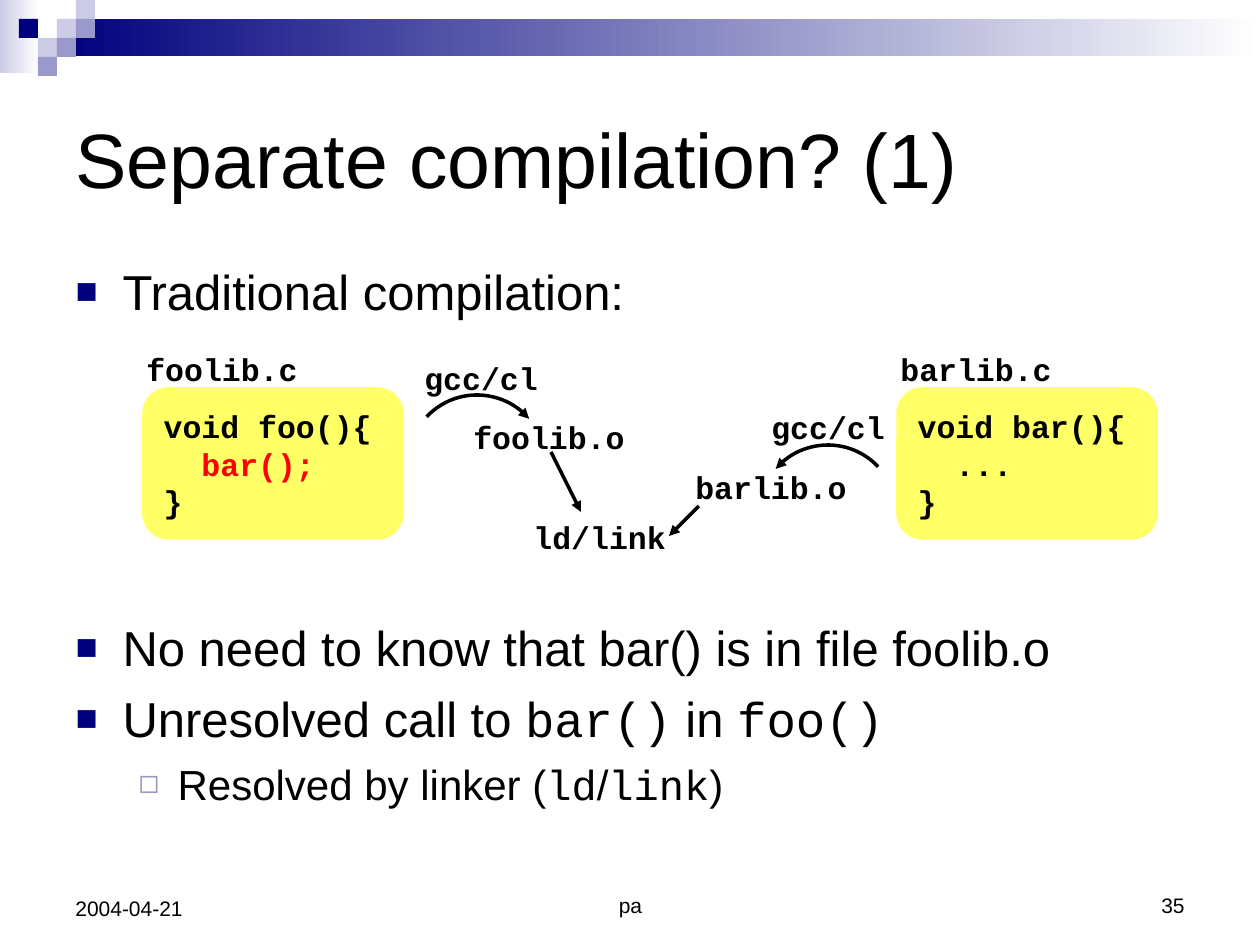
from lxml.etree import SubElement
from pptx import Presentation
from pptx.dml.color import RGBColor
from pptx.enum.shapes import MSO_CONNECTOR, MSO_SHAPE
from pptx.enum.text import MSO_ANCHOR, MSO_AUTO_SIZE, PP_ALIGN
from pptx.oxml.ns import qn
from pptx.util import Emu, Pt

PX_PER_INCH = 126
SANS, MONO = "Arial", "Courier New"
BLACK, RED, YELLOW, WHITE = "000000", "FF0000", "FFFF66", "FFFFFF"
NAVY, VIOLET, LAVENDER = "00007D", "9999CC", "CCCCE6"
CELL = 19  # side of a square in the corner mosaic


def px(length):
    return Emu(round(length * 914400 / PX_PER_INCH))


def color(hex_code):
    return RGBColor.from_string(hex_code)


def place(shape, x, y, w, h):
    shape.left, shape.top, shape.width, shape.height = map(px, (x, y, w, h))


def add_run(paragraph, text, size, font=SANS, hue=BLACK, bold=False):
    run = paragraph.add_run()
    run.text = text
    run.font.size, run.font.name, run.font.bold = Pt(size), font, bold
    run.font.color.rgb = color(hue)


def add_panel(slide, kind, x, y, w, h, fill):
    panel = slide.shapes.add_shape(kind, *map(px, (x, y, w, h)))
    panel.shadow.inherit = False
    panel.fill.solid()
    panel.fill.fore_color.rgb = color(fill)
    panel.line.fill.background()
    return panel


def add_fade(slide, x, y, w, h, hue):
    fade = add_panel(slide, MSO_SHAPE.RECTANGLE, x, y, w, h, hue)
    fade.fill.gradient()
    fade.fill.gradient_angle = 180
    for stop, stop_hue in zip(fade.fill.gradient_stops, (WHITE, hue)):
        stop.color.rgb = color(stop_hue)


def add_label(slide, text, x, y, w):
    label = slide.shapes.add_textbox(*map(px, (x, y, w, 50)))
    label.text_frame.word_wrap = False
    add_run(label.text_frame.paragraphs[0], text, 18, MONO, bold=True)


def add_code_card(slide, x, y, lines):
    card = add_panel(slide, MSO_SHAPE.ROUNDED_RECTANGLE, x, y, 258, 149, YELLOW)
    card.line.color.rgb = color(YELLOW)
    card.line.width = Pt(2)
    frame = card.text_frame
    frame.word_wrap = False
    frame.vertical_anchor = MSO_ANCHOR.MIDDLE
    for number, runs in enumerate(lines):
        paragraph = frame.add_paragraph() if number else frame.paragraphs[0]
        paragraph.alignment = PP_ALIGN.LEFT
        for text, hue in runs:
            add_run(paragraph, text, 18, MONO, hue, bold=True)


def style_stroke(stroke, arrow_end):
    stroke.line.color.rgb = color(BLACK)
    stroke.line.width = Pt(2)
    SubElement(stroke.line._get_or_add_ln(), qn(f"a:{arrow_end}"), type="triangle")


def add_arc(slide, x, y, rotation, start, end, arrow_end):
    arc = slide.shapes.add_shape(MSO_SHAPE.ARC, *map(px, (x, y, 138, 138)))
    arc.shadow.inherit = False
    arc.fill.background()
    arc.rotation = rotation
    # Angles are stored in 1/60000 degree, adjustments in 1/100000
    arc.adjustments[0], arc.adjustments[1] = start * 0.6, end * 0.6
    style_stroke(arc, arrow_end)


def add_arrow(slide, *ends):
    arrow = slide.shapes.add_connector(MSO_CONNECTOR.STRAIGHT, *map(px, ends))
    style_stroke(arrow, "tailEnd")
    SubElement(arrow._element.spPr, qn("a:effectLst"))


def set_bullet(paragraph, char, hue, percent, margin, hanging):
    props = paragraph._p.get_or_add_pPr()
    props.set("marL", str(px(margin)))
    props.set("indent", str(-px(hanging)))
    SubElement(SubElement(props, qn("a:buClr")), qn("a:srgbClr"), val=hue)
    SubElement(props, qn("a:buSzPct"), val=str(percent * 1000))
    SubElement(props, qn("a:buFont"), typeface=SANS)
    SubElement(props, qn("a:buChar"), char=char)


def fill_title(slide, text):
    title = slide.shapes.title
    place(title, 63, 63, 1134, 189)
    frame = title.text_frame
    frame.auto_size = MSO_AUTO_SIZE.NONE
    frame.vertical_anchor = MSO_ANCHOR.MIDDLE
    frame.paragraphs[0].alignment = PP_ALIGN.LEFT
    add_run(frame.paragraphs[0], text, 44)


def fill_body(slide, items):
    body = slide.placeholders[1]
    place(body, 63, 255, 1134, 577)
    frame = body.text_frame
    frame.auto_size = MSO_AUTO_SIZE.NONE
    for number, (level, space, runs) in enumerate(items):
        paragraph = frame.add_paragraph() if number else frame.paragraphs[0]
        paragraph.level = level
        if level:
            set_bullet(paragraph, "◻", VIOLET, 80, 102, 39)
        else:
            set_bullet(paragraph, "■", NAVY, 75, 47, 47)
        paragraph.space_before = Pt(space)
        for text, font in runs:
            add_run(paragraph, text, 24 if level else 28, font)


def add_footer(slide, text, x, w, h, alignment):
    footer = slide.shapes.add_textbox(*map(px, (x, 861, w, h)))
    footer.text_frame.word_wrap = True
    footer.text_frame.vertical_anchor = MSO_ANCHOR.BOTTOM
    paragraph = footer.text_frame.paragraphs[0]
    paragraph.alignment = alignment
    add_run(paragraph, text, 12)


def main():
    deck = Presentation()
    deck.slide_width, deck.slide_height = px(1260), px(945)
    slide = deck.slides.add_slide(deck.slide_layouts[1])

    # Header band and corner mosaic
    add_fade(slide, 0, 0, 39, 73, LAVENDER)
    add_fade(slide, 57, 19, 1203, 37, NAVY)
    for column, row, hue in ((3, 1, LAVENDER), (4, 0, LAVENDER), (4, 1, VIOLET),
                             (2, 2, LAVENDER), (1, 1, NAVY), (3, 2, VIOLET),
                             (2, 3, VIOLET)):
        add_panel(slide, MSO_SHAPE.RECTANGLE, column * CELL, row * CELL,
                  CELL, CELL, hue)

    # Title and list; the second item leaves room for the diagram
    fill_title(slide, "Separate compilation? (1)")
    fill_body(slide, [
        (0, 0, [("Traditional compilation:", SANS)]),
        (0, 170, [("No need to know that bar() is in file foolib.o", SANS)]),
        (0, 7, [("Unresolved call to ", SANS), ("bar()", MONO),
                (" in ", SANS), ("foo()", MONO)]),
        (1, 6, [("Resolved by linker (", SANS), ("ld", MONO), ("/", SANS),
                ("link", MONO), (")", SANS)]),
    ])

    # Source files
    add_code_card(slide, 144, 389, [[("void foo(){", BLACK)],
                                    [("  ", BLACK), ("bar();", RED)],
                                    [("}", BLACK)]])
    add_code_card(slide, 898, 389, [[("void bar(){", BLACK)],
                                    [("  ...", BLACK)],
                                    [("}", BLACK)]])

    # File and tool names
    for text, x, y, w in (("foolib.c", 134, 344, 176), ("barlib.c", 888, 344, 176),
                          ("foolib.o", 461, 412, 176), ("barlib.o", 683, 462, 176),
                          ("gcc/cl", 412, 353, 139), ("gcc/cl", 759, 402, 139),
                          ("ld/link", 521, 512, 158)):
        add_label(slide, text, x, y, w)

    # Compile steps, then link steps
    add_arc(slide, 408, 395, 43.2, 180, 276, "tailEnd")
    add_arc(slide, 759, 445, 316.8, 264, 360, "headEnd")
    add_arrow(slide, 551, 452, 581, 512)
    add_arrow(slide, 699, 506, 669, 536)

    # Footer
    add_footer(slide, "pa", 431, 399, 63, PP_ALIGN.CENTER)
    add_footer(slide, "35", 903, 294, 63, PP_ALIGN.RIGHT)
    add_footer(slide, "2004-04-21", 63, 294, 66, PP_ALIGN.LEFT)

    deck.save("out.pptx")


if __name__ == "__main__":
    main()
